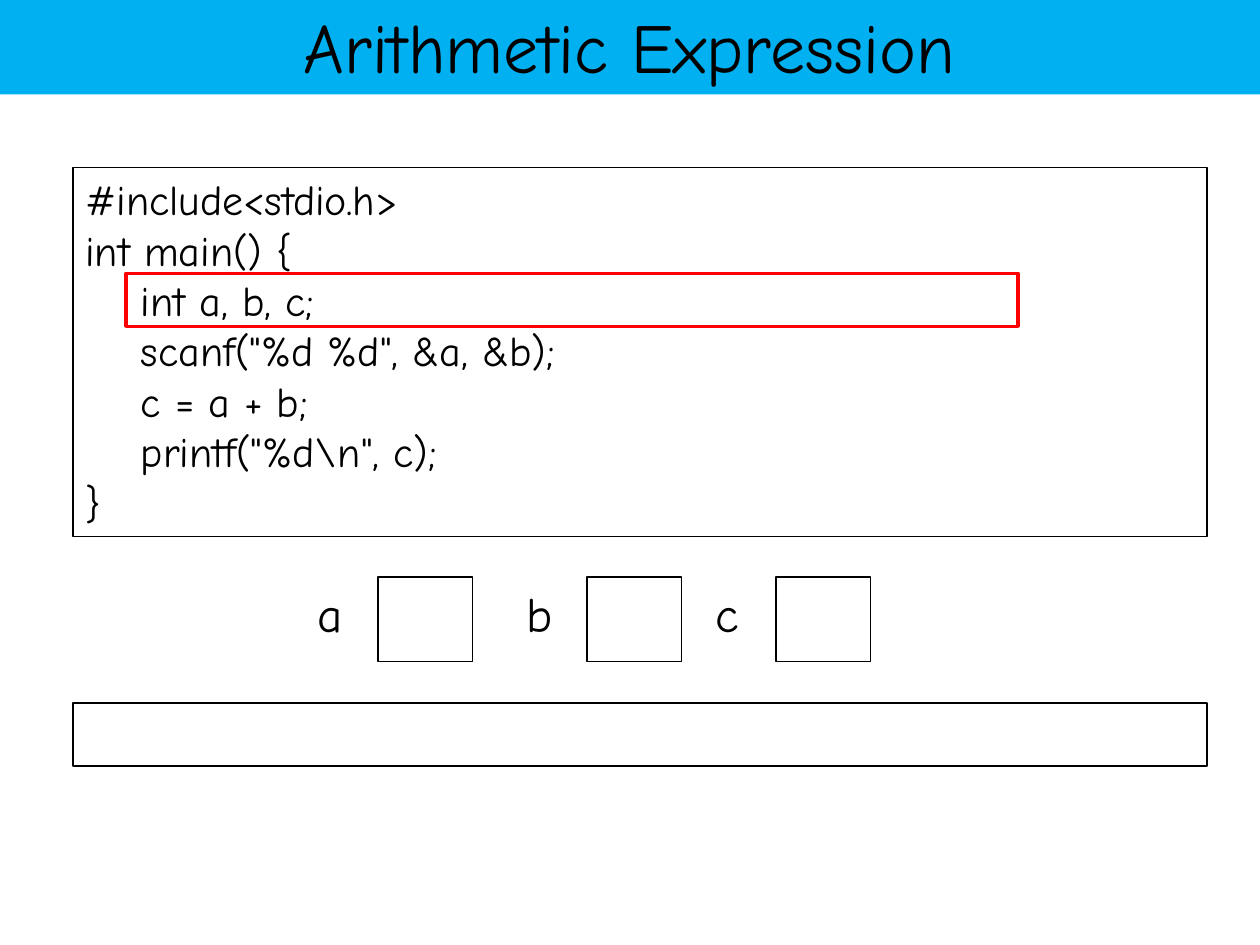
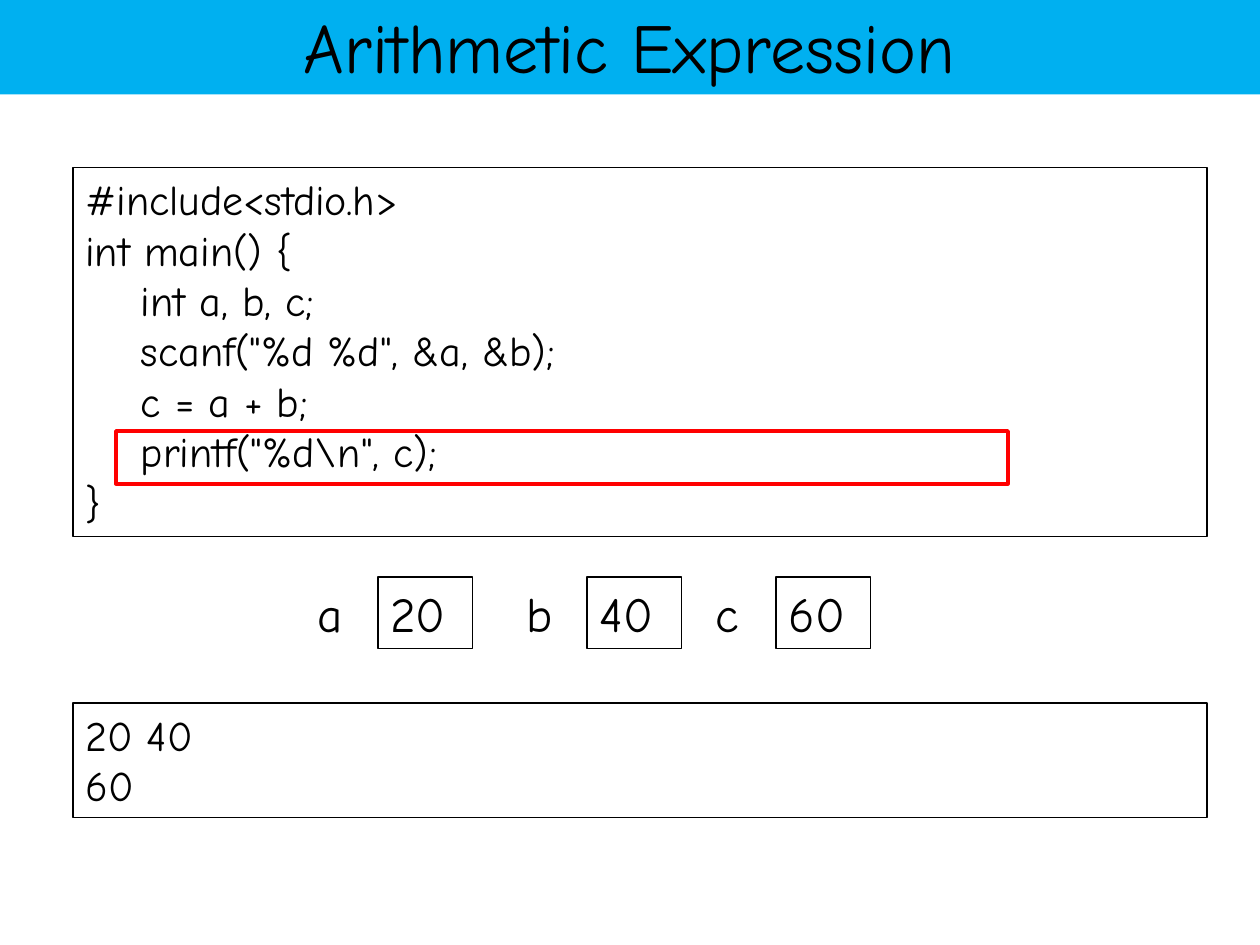
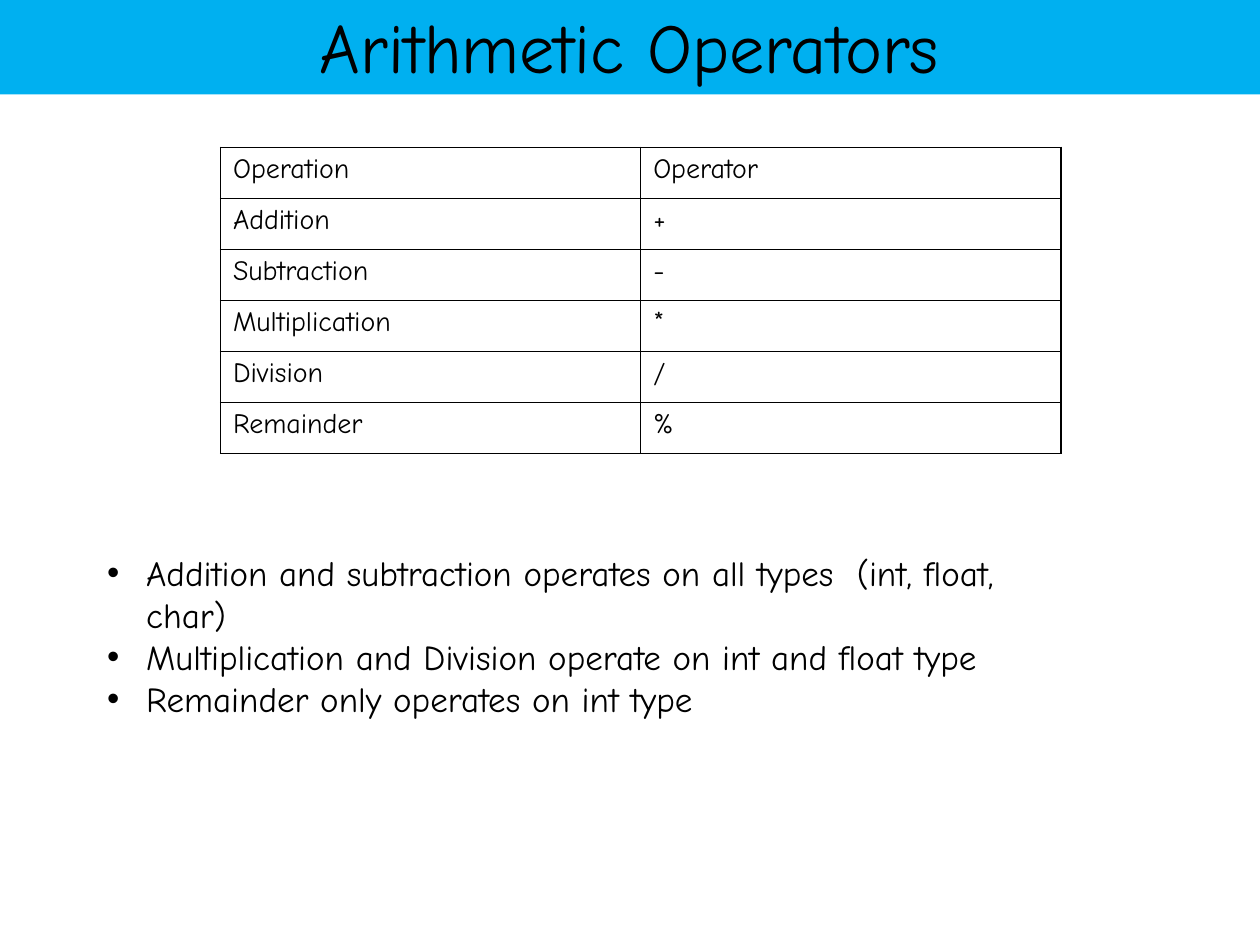
from lxml import etree
from pptx import Presentation
from pptx.dml.color import RGBColor
from pptx.enum.shapes import MSO_SHAPE
from pptx.enum.text import MSO_ANCHOR, MSO_AUTO_SIZE, PP_ALIGN
from pptx.oxml.ns import qn
from pptx.util import Inches, Pt

RECTANGLE = MSO_SHAPE.RECTANGLE
TOP, MIDDLE = MSO_ANCHOR.TOP, MSO_ANCHOR.MIDDLE
FIXED, GROW = MSO_AUTO_SIZE.NONE, MSO_AUTO_SIZE.SHAPE_TO_FIT_TEXT
LEFT, CENTER = PP_ALIGN.LEFT, PP_ALIGN.CENTER

COLORS = {"band": "00B0F0", "ink": "000000", "highlight": "FF0000"}
FONT = "Comic Neue"
SIZES = {"title": 40, "code": 24, "variable": 28, "table": 16, "list": 20}
TITLE_ONLY, TITLE_AND_CONTENT = 5, 1
CODE_INDENT = 0.44
LIST_INDENT = 0.31


class Deck:
    """Holds the shared style and the current slide."""

    def __init__(self):
        self.presentation = Presentation()
        self.presentation.slide_width = Inches(10)
        self.presentation.slide_height = Inches(7.5)
        self.slide = None

    def color(self, name):
        return RGBColor.from_string(COLORS[name])

    def place(self, shape, left, top, width, height):
        places = {"left": left, "top": top, "width": width, "height": height}
        for name, value in places.items():
            setattr(shape, name, Inches(value))

    def add_lines(self, frame, lines, size, align=LEFT):
        for index, line in enumerate(lines):
            paragraph = frame.paragraphs[0] if index == 0 else frame.add_paragraph()
            paragraph.text = line
            formats = {"alignment": align, "space_before": Pt(0)}
            for name, value in formats.items():
                setattr(paragraph, name, value)
            font = paragraph.runs[0].font
            for name, value in {"name": FONT, "size": Pt(SIZES[size])}.items():
                setattr(font, name, value)
            font.color.rgb = self.color("ink")

    def set_frame(self, frame, anchor=TOP, auto_size=GROW):
        formats = {"word_wrap": True, "vertical_anchor": anchor, "auto_size": auto_size}
        for name, value in formats.items():
            setattr(frame, name, value)

    def indent(self, paragraph, margin, first_line=0):
        properties = paragraph._p.get_or_add_pPr()
        properties.set("marL", str(Inches(margin)))
        properties.set("indent", str(Inches(first_line)))

    def start_slide(self, title, layout=TITLE_ONLY):
        layouts = self.presentation.slide_layouts
        self.slide = self.presentation.slides.add_slide(layouts[layout])
        band = self.slide.shapes.title
        self.place(band, -0.01, -0.03, 10.01, 0.78)
        band.fill.solid()
        band.fill.fore_color.rgb = self.color("band")
        self.set_frame(band.text_frame, MIDDLE, FIXED)
        self.add_lines(band.text_frame, [title], "title", CENTER)

    def box(self, left, top, width, height, lines=(), size="code", line="ink", weight=0.75):
        lengths = [Inches(value) for value in (left, top, width, height)]
        shape = self.slide.shapes.add_shape(RECTANGLE, *lengths)
        shape.shadow.inherit = False
        shape.fill.background()
        shape.line.color.rgb = self.color(line)
        shape.line.width = Pt(weight)
        if lines:
            self.set_frame(shape.text_frame)
            self.add_lines(shape.text_frame, lines, size)
        return shape

    def label(self, text, left, top, width, height):
        lengths = [Inches(value) for value in (left, top, width, height)]
        frame = self.slide.shapes.add_textbox(*lengths).text_frame
        self.set_frame(frame)
        self.add_lines(frame, [text], "variable")

    def code(self, lines, indented, left, top, width, height):
        frame = self.box(left, top, width, height, lines).text_frame
        for index in indented:
            self.indent(frame.paragraphs[index], CODE_INDENT)

    def bullets(self, lines, left, top, width, height):
        body = self.slide.placeholders[1]
        self.place(body, left, top, width, height)
        self.set_frame(body.text_frame)
        self.add_lines(body.text_frame, lines, "list")
        for paragraph in body.text_frame.paragraphs:
            self.indent(paragraph, LIST_INDENT, -LIST_INDENT)

    def border(self, cell):
        properties = cell._tc.get_or_add_tcPr()
        for side in ("a:lnL", "a:lnR", "a:lnT", "a:lnB"):
            edge = etree.SubElement(properties, qn(side), w=str(Pt(1)))
            fill = etree.SubElement(edge, qn("a:solidFill"))
            etree.SubElement(fill, qn("a:srgbClr"), val=COLORS["ink"])

    def table(self, rows, left, top, width, height):
        lengths = [Inches(value) for value in (left, top, width, height)]
        table = self.slide.shapes.add_table(len(rows), len(rows[0]), *lengths).table
        table.first_row = table.horz_banding = False
        for row, texts in zip(table.rows, rows):
            for cell, text in zip(row.cells, texts):
                self.add_lines(cell.text_frame, [text], "table")
                self.border(cell)
                cell.fill.background()


PROGRAM = [
    "#include<stdio.h>",
    "int main() {",
    "int a, b, c;",
    'scanf("%d %d", &a, &b);',
    "c = a + b;",
    'printf("%d\\n", c);',
    "}",
]
VARIABLE_LEFTS = {"a": 2.42, "b": 4.08, "c": 5.58}

# Each step: values of the variables, their box height, console, its height, highlight corner
STEPS = [
    ({}, 0.67, [], 0.5, (1, 2.17)),
    ({"a": "20", "b": "40", "c": "60"}, 0.57, ["20 40", "60"], 0.91, (0.92, 3.42)),
]

deck = Deck()

# Program run, step by step
for values, value_height, console, console_height, corner in STEPS:
    deck.start_slide("Arithmetic Expression")
    deck.code(PROGRAM, range(2, 6), 0.58, 1.33, 9, 2.93)
    deck.box(0.58, 5.58, 9, console_height, console)
    deck.box(*corner, 7.08, 0.42, line="highlight", weight=2)
    for name, left in VARIABLE_LEFTS.items():
        value = [values[name]] if name in values else []
        deck.box(left + 0.58, 4.58, 0.75, value_height, value, "variable")
        deck.label(name, left, 4.58, 0.75, 0.57)

# Operators
deck.start_slide("Arithmetic Operators", TITLE_AND_CONTENT)
deck.table(
    [
        ("Operation", "Operator"),
        ("Addition", "+"),
        ("Subtraction", "-"),
        ("Multiplication", "*"),
        ("Division", "/"),
        ("Remainder", "%"),
    ],
    1.75, 1.17, 6.67, 2.43,
)
deck.bullets(
    [
        "Addition and subtraction operates on all types  (int, float, char)",
        "Multiplication and Division operate on int and float type",
        "Remainder only operates on int type",
    ],
    0.75, 4.33, 7.75, 1.75,
)

deck.presentation.save("out.pptx")
